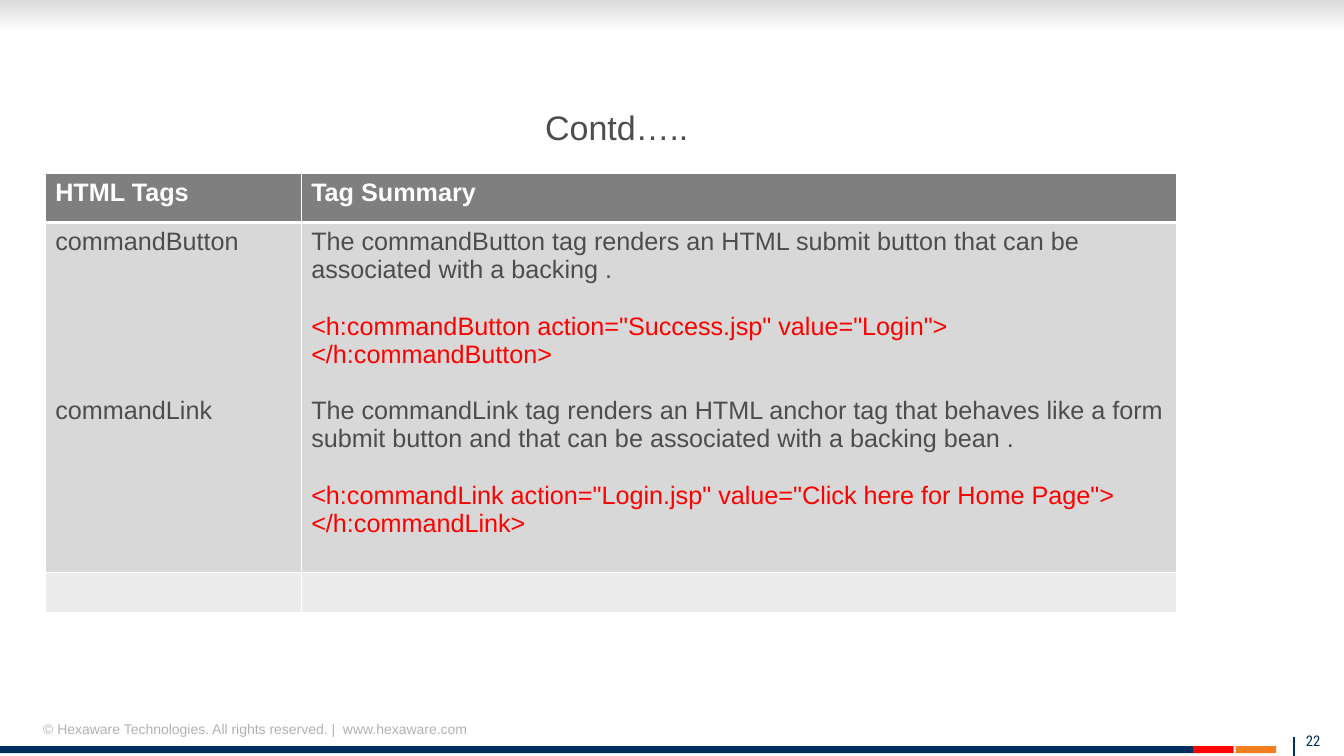
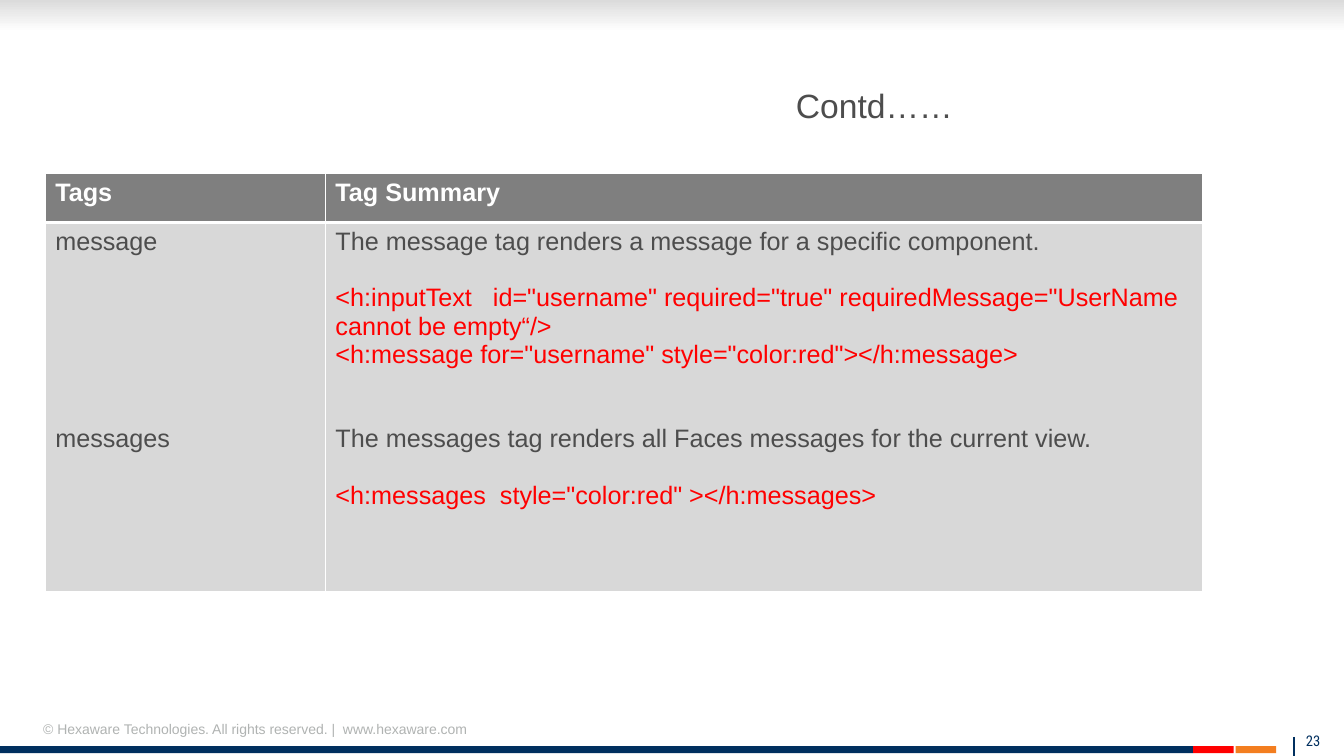
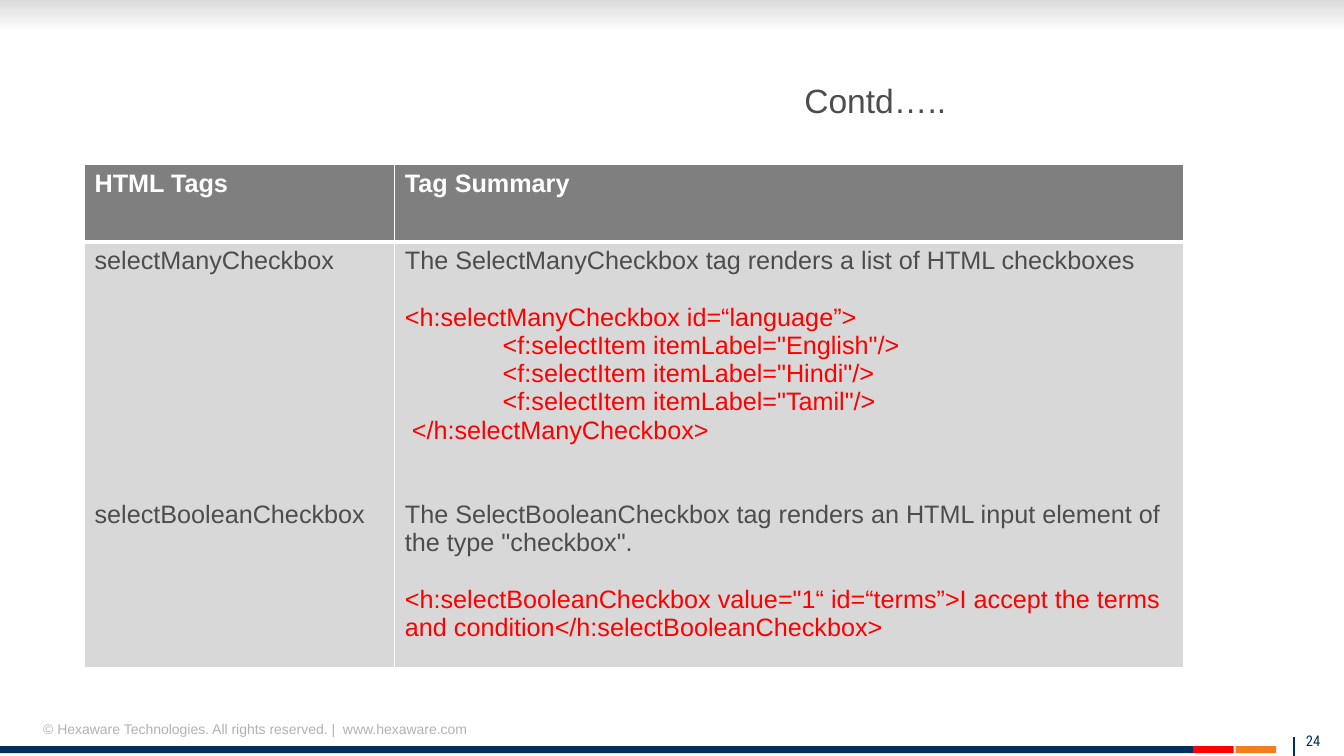
from lxml import etree
from pptx import Presentation
from pptx.dml.color import RGBColor
from pptx.enum.shapes import MSO_CONNECTOR, MSO_SHAPE
from pptx.enum.text import MSO_ANCHOR
from pptx.oxml.ns import qn
from pptx.util import Cm, Pt

LINE = MSO_CONNECTOR.STRAIGHT
RECT = MSO_SHAPE.RECTANGLE
MIDDLE = MSO_ANCHOR.MIDDLE

WHITE = RGBColor(0xFF, 0xFF, 0xFF)
MIST = RGBColor(0xD9, 0xD9, 0xD9)
INK = RGBColor(0x4D, 0x4D, 0x4D)
PALE = RGBColor(0xB0, 0xB3, 0xB2)
NAVY = RGBColor(0x00, 0x2F, 0x5F)
RED = RGBColor(0xFF, 0x00, 0x00)
ORANGE = RGBColor(0xF3, 0x7E, 0x20)
HEAD = RGBColor(0x7F, 0x7F, 0x7F)
ODD = RGBColor(0xD8, 0xD8, 0xD8)
EVEN = RGBColor(0xEC, 0xEC, 0xEC)

WIDE, HIGH = 33.87, 19.05
SIZE = 18
GAP = 20.1  # points in one blank table line
FIRST = 22
FOOTER = "© Hexaware Technologies. All rights reserved. |  www.hexaware.com"
BARS = [(0, 30.07, NAVY), (30.07, 1.02, RED), (31.14, 1.02, ORANGE)]

# Lengths are in cm. A cell is a list of (blank lines before, text).
SLIDES = [
    {
        "title": ("Contd…..", 24.3, 13.74, 2.36),
        "at": (1.14, 4.37),
        "cols": (6.45, 22.05),
        "rows": (1.24, 8.81, 1.02),
        "cells": [
            ([(0, "HTML Tags")], [(0, "Tag Summary")]),
            (
                [(0, "commandButton"), (5, "commandLink")],
                [
                    (0, "The commandButton tag renders an HTML submit button "
                        "that can be associated with a backing ."),
                    (1, '<h:commandButton action="Success.jsp" value="Login">'),
                    (0, "</h:commandButton>"),
                    (1, "The commandLink tag renders an HTML anchor tag that "
                        "behaves like a form submit button and that can be "
                        "associated with a backing bean ."),
                    (1, '<h:commandLink action="Login.jsp" '
                        'value="Click here for Home Page">'),
                    (0, "</h:commandLink>"),
                ],
            ),
            ([], []),
        ],
    },
    {
        "title": ("Contd……", 24, 20.06, 1.81),
        "at": (1.14, 4.37),
        "cols": (7.06, 22.1),
        "rows": (1.24, 9.3),
        "cells": [
            ([(0, "Tags")], [(0, "Tag Summary")]),
            (
                [(0, "message"), (6, "messages")],
                [
                    (0, "The message tag renders a message for a specific "
                        "component."),
                    (1, '<h:inputText   id="username" required="true" '
                        'requiredMessage="UserName cannot be empty“/>'),
                    (0, '<h:message for="username" style="color:red">'
                        '</h:message>'),
                    (2, "The messages tag renders all Faces messages for the "
                        "current view."),
                    (1, '<h:messages  style="color:red" ></h:messages>'),
                ],
            ),
        ],
    },
    {
        "title": ("Contd…..", 24, 20.27, 1.68),
        "at": (2.13, 4.14),
        "cols": (7.82, 19.89),
        "rows": (1.96, 10.21),
        "cells": [
            ([(0, "HTML Tags")], [(0, "Tag Summary")]),
            (
                [(0, "selectManyCheckbox"), (8, "selectBooleanCheckbox")],
                [
                    (0, "The SelectManyCheckbox tag renders a list of HTML "
                        "checkboxes"),
                    (1, "<h:selectManyCheckbox id=“language”>"),
                    (0, '              <f:selectItem itemLabel="English"/>'),
                    (0, '              <f:selectItem itemLabel="Hindi"/>'),
                    (0, '              <f:selectItem itemLabel="Tamil"/>'),
                    (0, " </h:selectManyCheckbox>"),
                    (2, "The SelectBooleanCheckbox tag renders an HTML input "
                        'element of the type "checkbox".'),
                    (1, '<h:selectBooleanCheckbox value="1“ id=“terms”>'
                        "I accept the terms and condition"
                        "</h:selectBooleanCheckbox>"),
                ],
            ),
        ],
    },
]


def style(para, size, color, bold=False, face="Arial"):
    font = para.font
    font.name, font.size, font.bold = face, Pt(size), bold
    font.color.rgb = color


def label(slide, text, box, size, color, face="Arial"):
    frame = slide.shapes.add_textbox(*map(Cm, box)).text_frame
    frame.text = text
    style(frame.paragraphs[0], size, color, face=face)
    return frame


def rect(slide, *box):
    shape = slide.shapes.add_shape(RECT, *map(Cm, box))
    shape.shadow.inherit = False
    shape.line.fill.background()
    return shape


def base(slide, number):
    """Draw the top shade and the footer that all slides share."""
    shade = rect(slide, 0, -0.05, WIDE, 3.66).fill
    shade.gradient()
    shade.gradient_angle = 270
    for stop, pos, color in zip(shade.gradient_stops, (0, 0.23), (MIST, WHITE)):
        stop.position = pos
        stop.color.rgb = color

    rule = slide.shapes.add_connector(
        LINE, Cm(32.61), Cm(18.57), Cm(32.61), Cm(HIGH))
    rule.line.color.rgb = NAVY
    rule.line.width = Pt(0.75)
    etree.SubElement(rule.element.spPr, qn("a:effectLst"))

    label(slide, str(number), (32.66, 18.31, 1.32, 1.02), 10.5, NAVY,
          "Roboto Condensed")
    for left, width, color in BARS:
        fill = rect(slide, left, 18.8, width, 0.18).fill
        fill.solid()
        fill.fore_color.rgb = color
    label(slide, FOOTER, (0.84, 18.03, 11.48, 0.69), 10, PALE)


def title(slide, text, size, left, top):
    frame = label(slide, text, (left, top, 6, 1.7), size, INK)
    frame.margin_left = 0
    frame.vertical_anchor = MIDDLE
    frame.word_wrap = True


def edge(cell, row):
    """Give a cell white borders, heavier under the header row."""
    props = cell._tc.get_or_add_tcPr()
    for side in "LRTB":
        heavy = (row, side) in ((0, "B"), (1, "T"))
        line = etree.SubElement(props, qn("a:ln" + side),
                                w=str(Pt(3 if heavy else 1)))
        fill = etree.SubElement(line, qn("a:solidFill"))
        etree.SubElement(fill, qn("a:srgbClr"), val=str(WHITE))


def write(cell, items, head):
    frame = cell.text_frame
    for i, (gap, text) in enumerate(items):
        para = frame.add_paragraph() if i else frame.paragraphs[0]
        para.text = text
        if gap:
            para.space_before = Pt(gap * GAP)
        code = text.lstrip().startswith("<")
        style(para, SIZE, WHITE if head else RED if code else INK, head)


def grid(slide, at, cols, rows, cells):
    box = (*at, sum(cols), sum(rows))
    table = slide.shapes.add_table(
        len(rows), len(cols), *map(Cm, box)).table
    for col, width in zip(table.columns, cols):
        col.width = Cm(width)
    for r, height in enumerate(rows):
        table.rows[r].height = Cm(height)
        for c, items in enumerate(cells[r]):
            cell = table.cell(r, c)
            edge(cell, r)
            cell.fill.solid()
            cell.fill.fore_color.rgb = (HEAD, ODD, EVEN)[r]
            write(cell, items, r == 0)


def main():
    prs = Presentation()
    prs.slide_width, prs.slide_height = Cm(WIDE), Cm(HIGH)
    for number, data in enumerate(SLIDES, FIRST):
        slide = prs.slides.add_slide(prs.slide_layouts[6])
        base(slide, number)
        title(slide, *data["title"])
        grid(slide, data["at"], data["cols"], data["rows"], data["cells"])
    prs.save("out.pptx")


if __name__ == "__main__":
    main()
